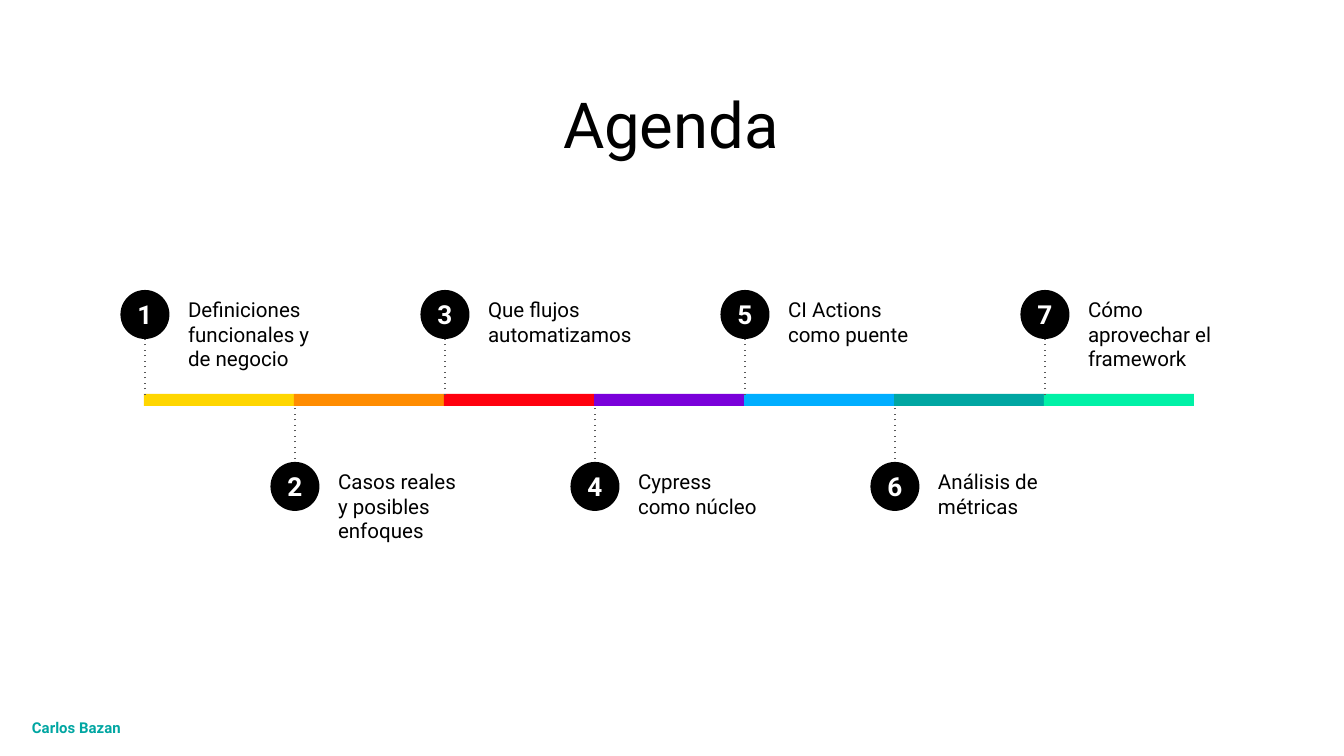
import pptx
import pptx.dml.color
import pptx.enum.shapes
import pptx.enum.text
import pptx.oxml.ns
import pptx.util
from lxml import etree

RGBColor = pptx.dml.color.RGBColor
PP_ALIGN = pptx.enum.text.PP_ALIGN
MSO_ANCHOR = pptx.enum.text.MSO_ANCHOR
MSO_SHAPE = pptx.enum.shapes.MSO_SHAPE
qn = pptx.oxml.ns.qn

BLACK = RGBColor(0x00, 0x00, 0x00)
WHITE = RGBColor(0xFF, 0xFF, 0xFF)
GRAY = RGBColor(0x59, 0x59, 0x59)
YELLOW = RGBColor(0xFF, 0xD6, 0x00)
ORANGE = RGBColor(0xFF, 0x8C, 0x00)
RED = RGBColor(0xFF, 0x00, 0x0E)
PURPLE = RGBColor(0x7A, 0x00, 0xDA)
BLUE = RGBColor(0x00, 0xAE, 0xFF)
TEAL = RGBColor(0x00, 0xA6, 0xA2)
MINT = RGBColor(0x00, 0xF1, 0xA6)

FONT = "Roboto"
EMU_PER_PX = 914400 / 134.4

STEP = 150
BAR_LEFT, BAR_TOP, BAR_HEIGHT = 144, 394, 12
FIRST_CENTER = 145
CIRCLE = 49
INSET = 13

# topic, segment colour, label width, label height
TOPICS = [
    ("Definiciones funcionales y de negocio", YELLOW, 155, 102),
    ("Casos reales y posibles enfoques", ORANGE, 155, 102),
    ("Que flujos automatizamos", RED, 175, 77),
    ("Cypress como núcleo", PURPLE, 155, 77),
    ("CI Actions como puente", BLUE, 155, 77),
    ("Análisis de métricas", TEAL, 155, 77),
    ("Cómo aprovechar el framework", MINT, 155, 102),
]


def px(length):
    return pptx.util.Emu(round(length * EMU_PER_PX))


def write_text(shape, text, *, size, color=BLACK, bold=False, align=PP_ALIGN.LEFT,
               anchor=MSO_ANCHOR.MIDDLE, inset_x=0, inset_y=0, line_spacing=None):
    frame = shape.text_frame
    frame.word_wrap = True
    frame.vertical_anchor = anchor
    frame.margin_left = frame.margin_right = px(inset_x)
    frame.margin_top = frame.margin_bottom = px(inset_y)
    paragraph = frame.paragraphs[0]
    paragraph.alignment = align
    paragraph.line_spacing = line_spacing
    run = paragraph.add_run()
    run.text = text
    run.font.name = FONT
    run.font.size = pptx.util.Pt(size)
    run.font.bold = bold
    run.font.color.rgb = color


def add_text(slide, text, left, top, width, height, **text_format):
    box = slide.shapes.add_textbox(px(left), px(top), px(width), px(height))
    write_text(box, text, **text_format)


def add_filled(shapes, preset, color, left, top, width, height):
    shape = shapes.add_shape(preset, px(left), px(top), px(width), px(height))
    shape.shadow.inherit = False
    shape.fill.solid()
    shape.fill.fore_color.rgb = color
    shape.line.fill.background()
    return shape


def add_dotted_line(slide, x, start, end):
    stem = slide.shapes.add_connector(
        pptx.enum.shapes.MSO_CONNECTOR.STRAIGHT, px(x), px(start), px(x), px(end))
    stem.line.color.rgb = GRAY
    stem.line.width = pptx.util.Pt(0.75)
    properties = stem.element.spPr
    etree.SubElement(properties.find(qn("a:ln")), qn("a:prstDash"), val="dot")
    etree.SubElement(properties, qn("a:effectLst"))


def add_color_bar(slide):
    bar = slide.shapes.add_group_shape()
    for index, (_, color, _, _) in enumerate(TOPICS):
        add_filled(bar.shapes, MSO_SHAPE.RECTANGLE, color,
                   BAR_LEFT + index * STEP, BAR_TOP, STEP, BAR_HEIGHT)


def add_milestone(slide, index, topic, width, height):
    """Odd numbers stand above the bar, even numbers hang below it."""
    center = FIRST_CENTER + index * STEP
    if index % 2 == 0:
        circle_top, stem_start, stem_end = 290, 395, 331
    else:
        circle_top, stem_start, stem_end = 462, 470, 406
    add_dotted_line(slide, center, stem_start, stem_end)
    circle = add_filled(slide.shapes, MSO_SHAPE.OVAL, BLACK,
                        center - CIRCLE / 2, circle_top, CIRCLE, CIRCLE)
    write_text(circle, str(index + 1), size=14, color=WHITE, bold=True,
               align=PP_ALIGN.CENTER, inset_y=INSET)
    add_text(slide, topic, center + 30, circle_top - 6, width, height, size=11,
             anchor=MSO_ANCHOR.TOP, inset_x=INSET, inset_y=INSET)


def main():
    presentation = pptx.Presentation()
    presentation.slide_width = px(1344)
    presentation.slide_height = px(756)
    slide = presentation.slides.add_slide(presentation.slide_layouts[6])

    add_text(slide, "Carlos Bazan", 32, 710, 405, 35, size=8, color=TEAL, bold=True)
    add_text(slide, "Agenda", 110, 101, 1122, 59, size=34,
             align=PP_ALIGN.CENTER, line_spacing=0.8)
    add_color_bar(slide)
    for index, (topic, _, width, height) in enumerate(TOPICS):
        add_milestone(slide, index, topic, width, height)

    presentation.save("out.pptx")


if __name__ == "__main__":
    main()
